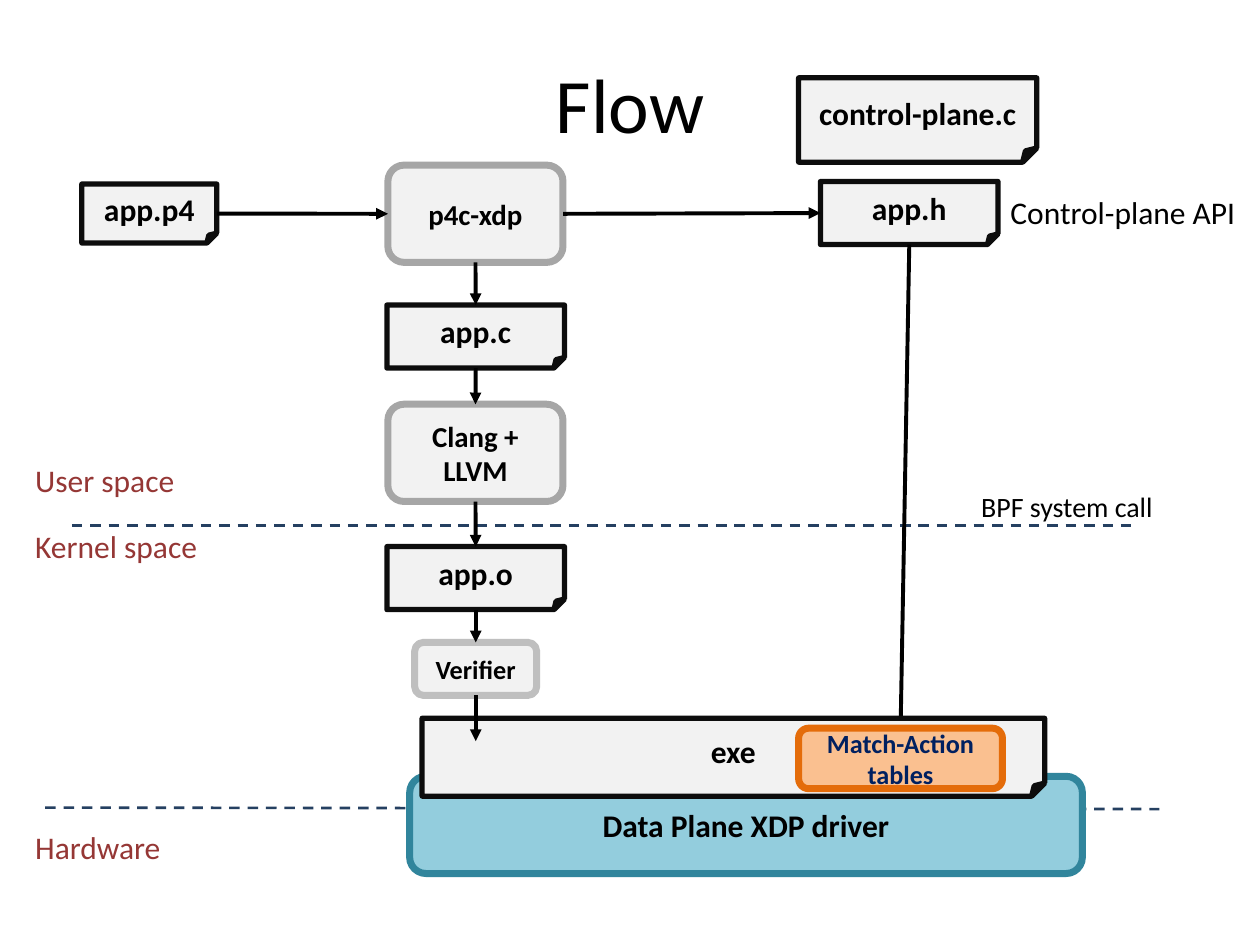
from dataclasses import dataclass

from lxml import etree
from pptx import Presentation
from pptx import util as u
from pptx.dml.color import RGBColor
from pptx.enum import dml, shapes, text
from pptx.oxml.ns import qn

FONT = "Calibri"
BLACK, NAVY, RED = "000000", "254061", "953735"
TOP, LEFT, BOTTOM, RIGHT = range(4)


@dataclass(frozen=True)
class Style:
    preset: shapes.MSO_SHAPE
    fill: str
    line: str
    width: float
    size: float
    color: str = BLACK


FILE = Style(shapes.MSO_SHAPE.FOLDED_CORNER, "F2F2F2", "0D0D0D", 3, 18)
TOOL = Style(shapes.MSO_SHAPE.ROUNDED_RECTANGLE, "F2F2F2", "A6A6A6", 4, 16.5)
CHECK = Style(shapes.MSO_SHAPE.ROUNDED_RECTANGLE, "F2F2F2", "BFBFBF", 4, 15)
DRIVER = Style(shapes.MSO_SHAPE.ROUNDED_RECTANGLE, "93CDDD", "31859C", 4, 18)
TABLES = Style(shapes.MSO_SHAPE.ROUNDED_RECTANGLE, "FAC090", "E46C0A", 4, 15, "002060")


@dataclass(frozen=True)
class Box:
    label: str
    style: Style
    left: float
    top: float
    width: float
    height: float


@dataclass(frozen=True)
class Label:
    words: str
    left: float
    top: float
    width: float
    height: float = 1.02
    size: float = 18
    color: str = BLACK
    wrap: bool = False


@dataclass(frozen=True)
class Arrow:
    source: str
    source_side: int
    target: str
    target_side: int


BOXES = [
    Box("app.p4", FILE, 1.65, 3.71, 2.72, 1.19),
    Box("p4c-xdp", TOOL, 7.82, 3.33, 3.53, 1.96),
    Box("app.c", FILE, 7.8, 6.15, 3.58, 1.27),
    Box("Clang + LLVM", TOOL, 7.82, 8.15, 3.53, 1.96),
    Box("app.o", FILE, 7.8, 11.02, 3.58, 1.27),
    Box("Verifier", CHECK, 8.36, 12.95, 2.46, 1.07),
    Box("control-plane.c", FILE, 16.1, 1.57, 4.8, 1.7),
    Box("app.h", FILE, 16.54, 3.66, 3.58, 1.27),
    Box("Data Plane XDP driver", DRIVER, 8.26, 15.65, 13.56, 1.96),
]
EXE = Box("exe", FILE, 8.51, 14.48, 12.55, 1.57)
MATCH_ACTION = Box("Match-Action\ntables", TABLES, 16.1, 14.68, 4.11, 1.22)

PIPELINE = ["p4c-xdp", "app.c", "Clang + LLVM", "app.o", "Verifier"]
ARROWS = [
    Arrow("app.p4", RIGHT, "p4c-xdp", LEFT),
    Arrow("p4c-xdp", RIGHT, "app.h", LEFT),
] + [Arrow(above, BOTTOM, below, TOP) for above, below in zip(PIPELINE, PIPELINE[1:])]

LABELS = [
    Label("BPF system call", 19.53, 9.75, 4.01, 0.94, 16),
    Label("Control-plane API", 20.12, 3.76, 5.08),
    Label("User space", 0.46, 9.17, 4.09, color=RED, wrap=True),
    Label("Kernel space", 0.46, 10.49, 4.57, color=RED, wrap=True),
    Label("Hardware", 0.46, 16.56, 3.07, color=RED),
]


def rgb(value: str) -> RGBColor:
    return RGBColor.from_string(value)


def write(frame, words: str, size: float, color: str, bold=False, align=None) -> None:
    for index, line in enumerate(words.split("\n")):
        paragraph = frame.add_paragraph() if index else frame.paragraphs[0]
        paragraph.alignment = align
        run = paragraph.add_run()
        run.text = line
        run.font.name = FONT
        run.font.size = u.Pt(size)
        run.font.bold = bold
        run.font.color.rgb = rgb(color)


def add_box(slide, box: Box):
    style = box.style
    shape = slide.shapes.add_shape(
        style.preset, u.Cm(box.left), u.Cm(box.top), u.Cm(box.width), u.Cm(box.height)
    )
    shape.shadow.inherit = False
    shape.fill.solid()
    shape.fill.fore_color.rgb = rgb(style.fill)
    shape.line.color.rgb = rgb(style.line)
    shape.line.width = u.Pt(style.width)
    shape.text_frame.word_wrap = True
    shape.text_frame.vertical_anchor = text.MSO_ANCHOR.MIDDLE
    write(shape.text_frame, box.label, style.size, style.color, True, text.PP_ALIGN.CENTER)
    return shape


def add_label(slide, label: Label):
    shape = slide.shapes.add_textbox(
        u.Cm(label.left), u.Cm(label.top), u.Cm(label.width), u.Cm(label.height)
    )
    shape.text_frame.word_wrap = label.wrap
    shape.text_frame.auto_size = text.MSO_AUTO_SIZE.SHAPE_TO_FIT_TEXT
    write(shape.text_frame, label.words, label.size, label.color)


def add_title(slide, words: str) -> None:
    shape = slide.shapes.add_textbox(u.Cm(1.27), u.Cm(0.48), u.Cm(22.86), u.Cm(3.18))
    shape.text_frame.word_wrap = True
    shape.text_frame.vertical_anchor = text.MSO_ANCHOR.MIDDLE
    write(shape.text_frame, words, 44, BLACK, align=text.PP_ALIGN.CENTER)


def add_line(slide, color: str, width: float, start=(0, 0), end=(0, 0)):
    line = slide.shapes.add_connector(
        shapes.MSO_CONNECTOR.STRAIGHT, *(u.Cm(value) for value in (*start, *end))
    )
    line.line.color.rgb = rgb(color)
    line.line.width = u.Pt(width)
    etree.SubElement(line._element.spPr, qn("a:effectLst"))
    return line


def add_boundary(slide, start, end) -> None:
    add_line(slide, NAVY, 1.5, start, end).line.dash_style = dml.MSO_LINE.DASH


def add_arrow(slide, start=(0, 0), end=(0, 0)):
    arrow = add_line(slide, BLACK, 2.25, start, end)
    etree.SubElement(arrow.line._get_or_add_ln(), qn("a:tailEnd"), type="triangle")
    return arrow


def main() -> None:
    presentation = Presentation()
    presentation.slide_width, presentation.slide_height = u.Cm(25.4), u.Cm(19.05)
    slide = presentation.slides.add_slide(presentation.slide_layouts[6])

    add_boundary(slide, (0.91, 16.28), (23.37, 16.31))
    add_title(slide, "Flow")
    add_boundary(slide, (1.45, 10.59), (22.83, 10.59))
    placed = {box.label: add_box(slide, box) for box in BOXES}
    for label in LABELS:
        add_label(slide, label)

    for link in ARROWS:
        arrow = add_arrow(slide)
        arrow.begin_connect(placed[link.source], link.source_side)
        arrow.end_connect(placed[link.target], link.target_side)

    system_call = add_arrow(slide)
    system_call.begin_connect(placed["app.h"], BOTTOM)
    add_box(slide, EXE)
    system_call.end_connect(add_box(slide, MATCH_ACTION), TOP)

    load = add_arrow(slide, (9.59, 14.02), (9.59, 14.94))
    load.begin_connect(placed["Verifier"], BOTTOM)

    presentation.save("out.pptx")


if __name__ == "__main__":
    main()
